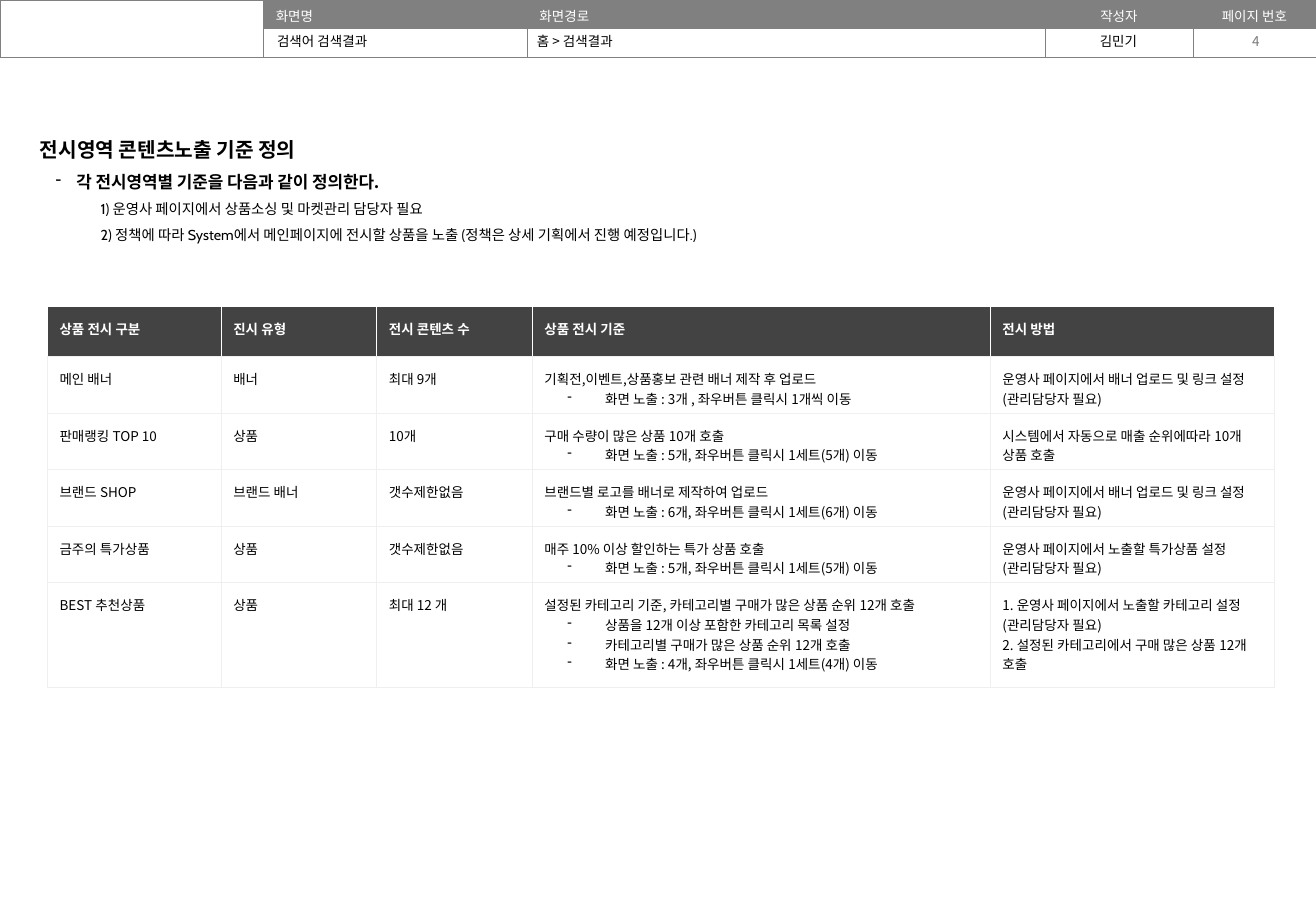
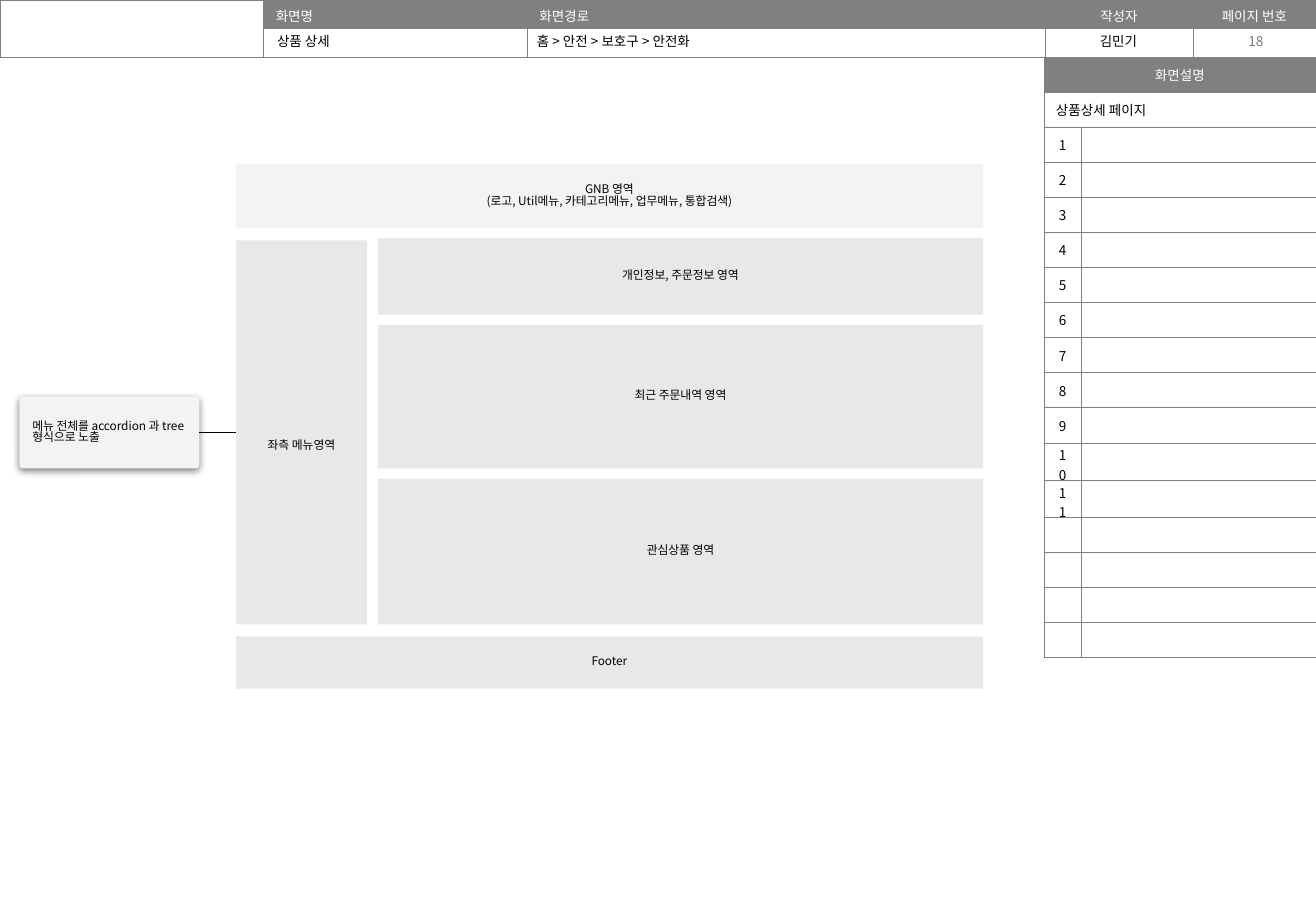
from itertools import accumulate
from lxml.etree import SubElement
from pptx import Presentation
from pptx.dml.color import RGBColor
from pptx.enum.shapes import MSO_CONNECTOR, MSO_SHAPE
from pptx.enum.text import MSO_ANCHOR, MSO_AUTO_SIZE, PP_ALIGN
from pptx.oxml.ns import qn
from pptx.util import Inches, Pt

HUES = {
    "black": "000000", "white": "FFFFFF", "gray": "808080", "page": "797979",
    "dark": "434343", "rule": "EFEFEF", "block": "E8E8E8", "pale": "F3F3F3",
}
FONT = "Noto Sans CJK KR"
MID = MSO_ANCHOR.MIDDLE
CENTER = PP_ALIGN.CENTER
WIDE, HIGH = 108.3, 75  # grid columns and rows, a tenth of an inch each


def cells(n):
    """Grid cells to EMU."""
    return int(Inches(n / 10))


def hue(name):
    return RGBColor.from_string(HUES[name])


class Deck:
    def __init__(self):
        self.prs = Presentation()
        self.prs.slide_width, self.prs.slide_height = cells(WIDE), cells(HIGH)
        self.slide = None

    def text(self, frame, lines, anchor=MSO_ANCHOR.TOP, **style):
        """Fill a frame; a line is a string or (string, style); '- ' is a bullet."""
        frame.word_wrap = True
        frame.vertical_anchor = anchor
        for i, line in enumerate(lines):
            words, own = line if isinstance(line, tuple) else (line, {})
            par = frame.paragraphs[0] if i == 0 else frame.add_paragraph()
            self.para(par, words, **{**style, **own})

    def para(self, par, words, size=8, color="black", bold=False, font=FONT,
             align=PP_ALIGN.LEFT, space=None, left=0, hang=3.1):
        props = par._p.get_or_add_pPr()
        if words.startswith("- "):
            words, left = words[2:], left or 5
            props.set("indent", str(-cells(hang)))
            SubElement(props, qn("a:buChar"), char="-")
        if left:
            props.set("marL", str(cells(left)))
        par.text = words
        par.alignment = align
        if space:
            par.line_spacing = space
        face = par.font
        face.size, face.bold, face.name = Pt(size), bold, font
        face.color.rgb = hue(color)
        SubElement(props.find(qn("a:defRPr")), qn("a:ea"), typeface=FONT)

    def box(self, x, y, w, h, lines, pad=0.5, **style):
        frame = self.slide.shapes.add_textbox(*map(cells, (x, y, w, h))).text_frame
        frame.margin_top = frame.margin_bottom = cells(pad)
        self.text(frame, lines, **style)

    def block(self, x, y, w, h, lines, fill="block", kind=MSO_SHAPE.ROUNDED_RECTANGLE,
              bend=0, top=1, align=CENTER):
        shape = self.slide.shapes.add_shape(kind, *map(cells, (x, y, w, h)))
        if len(shape.adjustments):
            shape.adjustments[0] = bend
        shape.shadow.inherit = False
        shape.fill.solid()
        shape.fill.fore_color.rgb = hue(fill)
        shape.line.fill.background()
        frame = shape.text_frame
        frame.margin_left = frame.margin_right = frame.margin_bottom = cells(1)
        frame.margin_top = cells(top)
        self.text(frame, lines, anchor=MID, size=7, align=align, space=0.8)
        return shape

    def shade(self, shape):
        """Soft shadow straight below."""
        glow = SubElement(shape.element.spPr.find(qn("a:effectLst")), qn("a:outerShdw"),
                          blurRad=str(Pt(4.5)), dist=str(Pt(1.5)), dir="5400000",
                          algn="bl", rotWithShape="0")
        tint = SubElement(glow, qn("a:srgbClr"), val=HUES["black"])
        SubElement(tint, qn("a:alpha"), val="49000")

    def join(self, start, a, end, b):
        line = self.slide.shapes.add_connector(MSO_CONNECTOR.STRAIGHT, 0, 0, 0, 0)
        line.begin_connect(start, a)
        line.end_connect(end, b)
        line.line.color.rgb = hue("black")
        line.line.width = Pt(0.75)
        SubElement(line.element.spPr, qn("a:effectLst"))

    def table(self, x, y, cols, rows):
        frame = self.slide.shapes.add_table(
            len(rows), len(cols), *map(cells, (x, y, sum(cols), sum(rows))))
        table = frame.table
        table.first_row = table.horz_banding = False
        for col, w in zip(table.columns, cols):
            col.width = cells(w)
        for row, h in zip(table.rows, rows):
            row.height = cells(h)
        return table

    def cell(self, cell, lines, fill=None, edges=("gray",) * 4, width=0.25,
             pad=(0.5, 0.2), **style):
        """Edges run left, right, top, bottom."""
        props = cell._tc.get_or_add_tcPr()
        for side, edge in zip("LRTB", edges):
            line = SubElement(props, qn("a:ln" + side), w=str(Pt(width)))
            SubElement(SubElement(line, qn("a:solidFill")), qn("a:srgbClr"), val=HUES[edge])
        if fill:
            cell.fill.solid()
            cell.fill.fore_color.rgb = hue(fill)
        else:
            cell.fill.background()
        cell.margin_left = cell.margin_right = cells(1)
        cell.margin_top, cell.margin_bottom = map(cells, pad)
        anchor = style.pop("anchor", MSO_ANCHOR.TOP)
        cell.vertical_anchor = anchor
        self.text(cell.text_frame, lines, anchor=anchor, **style)

    def page(self, name, route, number):
        """New slide with the shared header band."""
        self.slide = self.prs.slides.add_slide(self.prs.slide_layouts[5])
        cols = [21.7, 21.7, 42.6, 12.2, 10.1]
        band = self.table(0, 0, cols, [4.7 / 2] * 2)
        band.cell(0, 0).merge(band.cell(1, 0))
        heads = ["", "화면명", "화면경로", "작성자", "페이지 번호"]
        for i, head in enumerate(heads):
            self.cell(band.cell(0, i), [head], fill="gray" if head else None, color="white",
                      align=CENTER if i > 2 else PP_ALIGN.LEFT)
            self.cell(band.cell(1, i), [""])
        # Screen name is the title
        title = self.slide.shapes.title
        title.left, title.top, title.width, title.height = map(cells, (21.8, 2.2, 21.5, 2.4))
        title.text_frame.auto_size = MSO_AUTO_SIZE.NONE
        self.text(title.text_frame, [name])
        self.box(43.2, 2.2, 21.5, 2.4, [route])
        self.box(85.9, 2.2, 12.3, 2.4, ["김민기"], align=CENTER)
        self.box(98.3, 2.2, 10.1, 2.4, [number], anchor=MID, align=CENTER, color="page")


def rules(deck):
    deck.page("검색어 검색결과", "홈 > 검색결과", "4")
    # Overview
    note = {"size": 8.5, "font": "Cabin", "left": 5}
    deck.box(2.3, 9.3, 102.8, 11.2, [
        ("전시영역 콘텐츠노출 기준 정의", {"size": 12, "bold": True}),
        ("- 각 전시영역별 기준을 다음과 같이 정의한다.",
         {"size": 10, "bold": True, "left": 3, "hang": 1.7}),
        ("1) 운영사 페이지에서 상품소싱 및 마켓관리 담당자 필요", note),
        ("2) 정책에 따라 System에서 메인페이지에 전시할 상품을 노출 "
         "(정책은 상세 기획에서 진행 예정입니다.)", note),
    ], pad=1, space=1.5)
    # Display rules
    upload = "운영사 페이지에서 배너 업로드 및 링크 설정(관리담당자 필요)"
    five = "- 화면 노출 : 5개, 좌우버튼 클릭시 1세트(5개) 이동"
    data = [
        ["상품 전시 구분", "진시 유형", "전시 콘텐츠 수", "상품 전시 기준", "전시 방법"],
        ["메인 배너", "배너", "최대 9개",
         ["기획전,이벤트,상품홍보 관련 배너 제작 후 업로드",
          "- 화면 노출 : 3개 , 좌우버튼 클릭시 1개씩 이동"], upload],
        ["판매랭킹 TOP 10", "상품", "10개", ["구매 수량이 많은 상품 10개 호출", five],
         "시스템에서 자동으로 매출 순위에따라 10개 상품 호출"],
        ["브랜드 SHOP", "브랜드 배너", "갯수제한없음",
         ["브랜드별 로고를 배너로 제작하여 업로드",
          "- 화면 노출 : 6개, 좌우버튼 클릭시 1세트(6개) 이동"], upload],
        ["금주의 특가상품", "상품", "갯수제한없음",
         ["매주 10% 이상 할인하는 특가 상품 호출", five],
         "운영사 페이지에서 노출할 특가상품 설정 (관리담당자 필요)"],
        ["BEST 추천상품", "상품", "최대 12 개",
         ["설정된 카테고리 기준, 카테고리별 구매가 많은 상품 순위 12개 호출",
          "- 상품을 12개 이상 포함한 카테고리 목록 설정",
          "- 카테고리별 구매가 많은 상품 순위 12개 호출",
          "- 화면 노출 : 4개, 좌우버튼 클릭시 1세트(4개) 이동"],
         ["1. 운영사 페이지에서 노출할 카테고리 설정 (관리담당자 필요)",
          "2. 설정된 카테고리에서 구매 많은 상품 12개 호출"]],
    ]
    table = deck.table(3.9, 25.2, [14.3, 12.8, 12.8, 37.7, 23.4],
                       [4.15] + [4.66] * 4 + [8.6])
    head = {"fill": "dark", "color": "white", "bold": True,
            "edges": ("white", "white", "white", "rule")}
    body = {"edges": ("rule",) * 4}
    for r, row in enumerate(data):
        for c, lines in enumerate(row):
            deck.cell(table.cell(r, c), lines if isinstance(lines, list) else [lines],
                      width=0.75, pad=(1, 0.4), **(body if r else head))


def detail(deck):
    deck.page("상품 상세", "홈 > 안전 > 보호구 > 안전화", "18")
    # Description panel
    count = 17
    panel = deck.table(85.9, 4.7, [3.1, 19.3], [49.1 / count] * count)
    marks = ["화면설명", "상품상세 페이지"] + [str(n) for n in range(1, 12)]
    for r in range(count):
        if r < 2:
            panel.cell(r, 0).merge(panel.cell(r, 1))
        mark = marks[r] if r < len(marks) else ""
        for c, word in enumerate([mark, ""]):
            deck.cell(panel.cell(r, c), [word], fill=None if r else "gray",
                      color="black" if r else "white", pad=(0.2, 0.2), anchor=MID,
                      align=PP_ALIGN.LEFT if r == 1 else CENTER)
    # Content areas, stacked with equal gaps
    left, main, right, gap = 19.4, 31.1, 80.9, 0.85
    areas = {"개인정보, 주문정보 영역": 6.3, "최근 주문내역 영역": 11.8, "관심상품 영역": 12}
    tops = accumulate(areas.values(), lambda y, h: y + h + gap, initial=19.6)
    for y, (name, h) in zip(tops, areas.items()):
        deck.block(main, y, right - main, h, [name])
    deck.block(left, 52.4, right - left, 4.3, ["Footer"])
    # Side menu and its note
    menu = deck.block(left, 19.8, 10.8, 31.6, ["좌측 메뉴영역"], top=3.2)
    note = deck.block(1.6, 32.65, 14.8, 5.9, ["메뉴 전체를 accordion 과 tree 형식으로 노출"],
                      fill="pale", bend=0.05, align=PP_ALIGN.LEFT)
    deck.shade(note)
    deck.join(menu, 1, note, 3)
    # Top navigation
    deck.block(left, 13.5, right - left, 5.3,
               ["GNB 영역", "(로고, Util메뉴, 카테고리메뉴, 업무메뉴, 통합검색)"],
               fill="pale", kind=MSO_SHAPE.RECTANGLE)


def main():
    deck = Deck()
    rules(deck)
    detail(deck)
    deck.prs.save("out.pptx")


if __name__ == "__main__":
    main()
